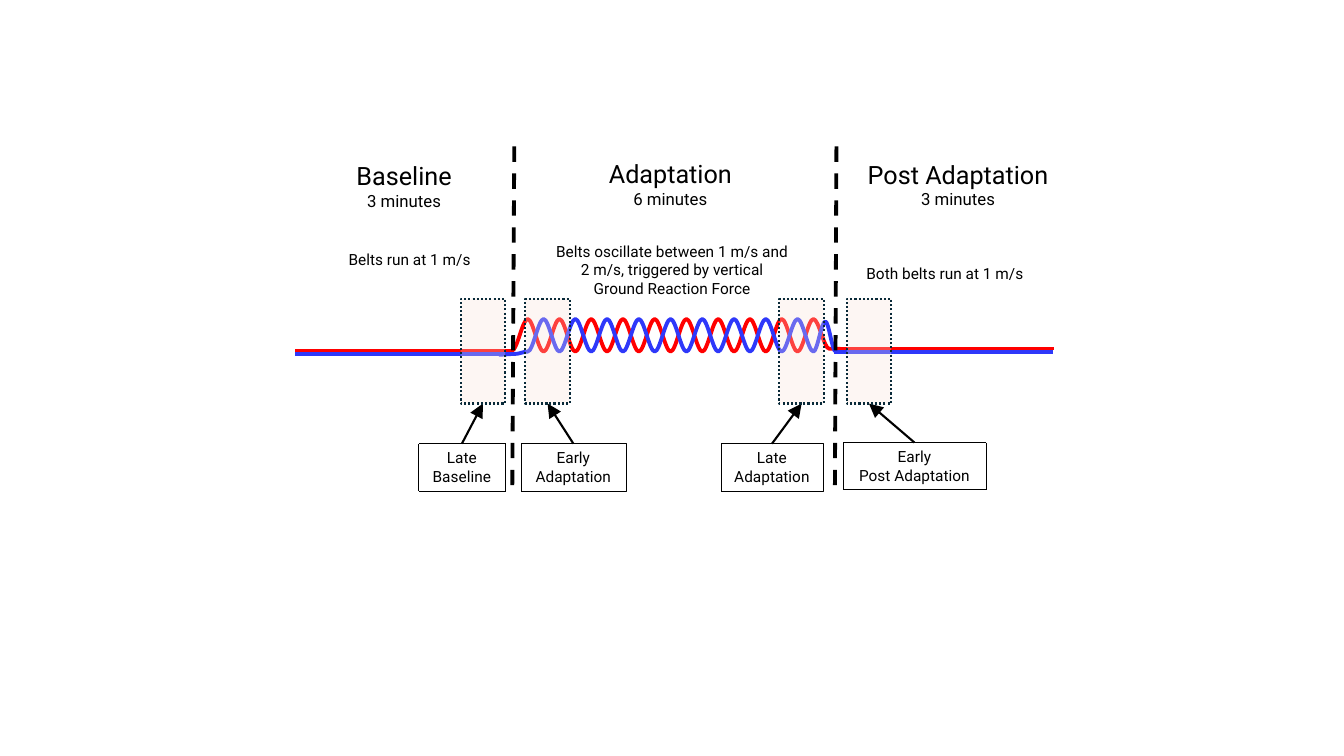
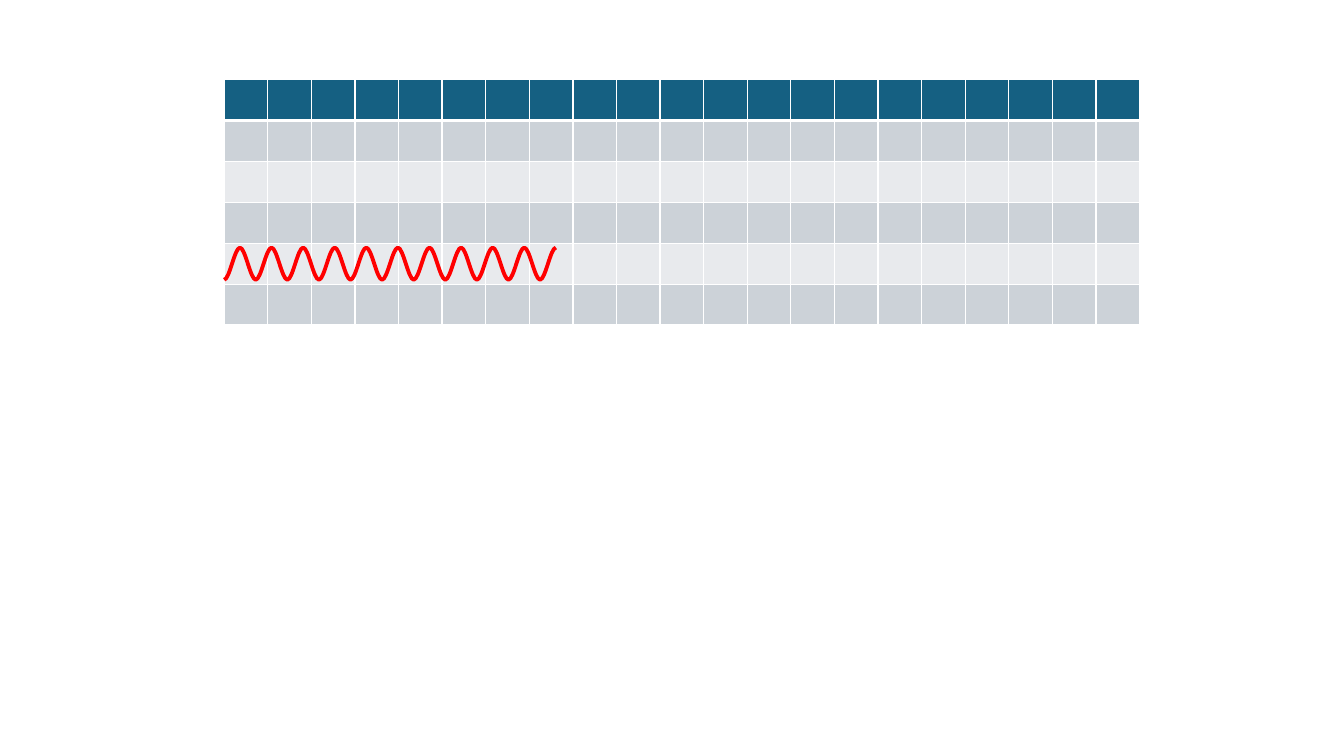
import lxml.etree
import pptx
import pptx.dml.color
import pptx.enum.dml
import pptx.enum.shapes
import pptx.enum.text
import pptx.oxml.ns
import pptx.util

Cm = pptx.util.Cm
Pt = pptx.util.Pt
qn = pptx.oxml.ns.qn
DASH = pptx.enum.dml.MSO_LINE.DASH
DOTS = pptx.enum.dml.MSO_LINE.ROUND_DOT
RECTANGLE = pptx.enum.shapes.MSO_SHAPE.RECTANGLE

FONT = "Roboto"
COLORS = {
    name: pptx.dml.color.RGBColor.from_string(value)
    for name, value in {
        "black": "000000",
        "red belt": "FF0000",
        "blue belt": "2E38FA",
        "window fill": "FBE3D6",
        "window line": "092A39",
        "header": "156082",
        "dark band": "CCD2D8",
        "light band": "E8EAED",
    }.items()
}
BELT_WIDTH = 2.75


def write_paragraphs(shape, paragraphs):
    """Fill a shape with centred paragraphs given as (text, size)."""
    frame = shape.text_frame
    frame.word_wrap = True
    frame.vertical_anchor = pptx.enum.text.MSO_ANCHOR.TOP
    for index, (text, size) in enumerate(paragraphs):
        paragraph = frame.add_paragraph() if index else frame.paragraphs[0]
        paragraph.alignment = pptx.enum.text.PP_ALIGN.CENTER
        run = paragraph.add_run()
        run.text = text
        run.font.name = FONT
        run.font.size = Pt(size)
        run.font.color.rgb = COLORS["black"]


def draw_wave(slide, turns, color):
    """Join the turning points with curves that are level at each turn."""
    points = [(Cm(x), Cm(y)) for x, y in turns]
    builder = slide.shapes.build_freeform(*points[0])
    builder.add_line_segments(points[1:], close=False)
    wave = builder.convert_to_shape()
    wave.shadow.inherit = False
    wave.fill.background()
    wave.line.color.rgb = COLORS[color]
    wave.line.width = Pt(BELT_WIDTH)

    # Turn each straight segment into a Bezier curve
    outline = wave._element.spPr.find(".//" + qn("a:path"))
    corners = [(int(p.get("x")), int(p.get("y"))) for p in outline.iter(qn("a:pt"))]
    segments = outline.findall(qn("a:lnTo"))
    for segment, (x1, y1), (x2, y2) in zip(segments, corners, corners[1:]):
        curve = lxml.etree.Element(qn("a:cubicBezTo"))
        third = (x2 - x1) // 3
        for x, y in ((x1 + third, y1), (x2 - third, y2), (x2, y2)):
            lxml.etree.SubElement(curve, qn("a:pt"), x=str(x), y=str(y))
        outline.replace(segment, curve)


presentation = pptx.Presentation()
presentation.slide_width = Cm(33.87)
presentation.slide_height = Cm(19.05)
blank_layout = presentation.slide_layouts[6]

# Slide 1: belt speeds in the three phases
slide = presentation.slides.add_slide(blank_layout)

# Oscillating belts
fast, slow = 8.04, 8.86
first_peak, half_period = 13.3, 0.4
red_turns = [(first_peak + half_period * k, slow if k % 2 else fast) for k in range(19)]
blue_turns = [(x, slow if y == fast else fast) for x, y in red_turns]
draw_wave(slide, [(12.9, 8.84)] + red_turns + [(20.9, 8.79), (21.18, 8.79)], "red belt")
draw_wave(slide, [(12.57, 8.94), (12.98, 8.92)] + blue_turns + [(20.8, 8.1), (21.06, 8.86)],
          "blue belt")

# Lines: x1, y1, x2, y2, color, width, dashed, arrow
lines = [
    (7.44, 8.84, 12.93, 8.84, "red belt", BELT_WIDTH, False, False),
    (7.44, 8.92, 12.93, 8.92, "blue belt", BELT_WIDTH, False, False),
    (21.06, 8.78, 26.57, 8.78, "red belt", BELT_WIDTH, False, False),
    (21.03, 8.86, 26.54, 8.86, "blue belt", BELT_WIDTH, False, False),
    (12.96, 3.69, 12.91, 12.37, "black", BELT_WIDTH, True, False),
    (21.08, 3.69, 21.04, 12.37, "black", BELT_WIDTH, True, False),
]

# Analysis windows: window left, callout left, callout top, callout width, text
window_top, window_width, window_height = 7.53, 1.12, 2.64
callout_height = 1.19
windows = [
    (11.61, 10.55, 11.18, 2.18, ["Late Baseline"]),
    (13.24, 13.13, 11.18, 2.64, ["Early", "Adaptation"]),
    (19.64, 18.17, 11.18, 2.57, ["Late", "Adaptation"]),
    (21.34, 21.24, 11.15, 3.61, ["Early", "Post Adaptation"]),
]
for window_left, callout_left, callout_top, callout_width, text in windows:
    lines.append((callout_left + callout_width / 2, callout_top,
                  window_left + window_width / 2, window_top + window_height,
                  "black", 1.5, False, True))

for x1, y1, x2, y2, color, width, dashed, arrow in lines:
    connector = slide.shapes.add_connector(
        pptx.enum.shapes.MSO_CONNECTOR.STRAIGHT, Cm(x1), Cm(y1), Cm(x2), Cm(y2))
    connector.line.color.rgb = COLORS[color]
    connector.line.width = Pt(width)
    if dashed:
        connector.line.dash_style = DASH
    if arrow:
        lxml.etree.SubElement(connector.line._get_or_add_ln(), qn("a:tailEnd"),
                              type="triangle", w="lg", len="lg")
    lxml.etree.SubElement(connector._element.spPr, qn("a:effectLst"))

for window_left, callout_left, callout_top, callout_width, text in windows:
    window = slide.shapes.add_shape(RECTANGLE, Cm(window_left), Cm(window_top),
                                    Cm(window_width), Cm(window_height))
    window.fill.solid()
    window.fill.fore_color.rgb = COLORS["window fill"]
    fill_color = window._element.spPr.find(qn("a:solidFill"))[0]
    lxml.etree.SubElement(fill_color, qn("a:alpha"), val="29000")
    window.line.color.rgb = COLORS["window line"]
    window.line.width = Pt(1.5)

    callout = slide.shapes.add_shape(RECTANGLE, Cm(callout_left), Cm(callout_top),
                                     Cm(callout_width), Cm(callout_height))
    callout.fill.background()
    callout.line.color.rgb = COLORS["black"]
    callout.line.width = Pt(0.25)
    write_paragraphs(callout, [(line, 11) for line in text])
    for shape in (window, callout):
        shape.shadow.inherit = False
        shape.line.dash_style = DOTS

# Phase titles and descriptions: left, top, width, height, paragraphs
texts = [
    (8.14, 3.91, 4.09, 1.55, [("Baseline", 18), ("3 minutes", 12)]),
    (14.85, 3.86, 4.09, 1.55, [("Adaptation", 18), ("6 minutes", 12)]),
    (21.39, 3.88, 5.51, 1.55, [("Post Adaptation", 18), ("3 minutes", 12)]),
    (7.43, 6.17, 5.79, 0.74, [("Belts run at 1 m/s", 11)]),
    (13.74, 5.97, 6.4, 1.68, [("Belts oscillate between 1 m/s and 2 m/s, "
                               "triggered by vertical Ground Reaction Force", 11)]),
    (20.92, 6.53, 5.79, 0.74, [("Both belts run at 1 m/s", 11)]),
]
for left, top, width, height, paragraphs in texts:
    box = slide.shapes.add_textbox(Cm(left), Cm(top), Cm(width), Cm(height))
    write_paragraphs(box, paragraphs)

# Slide 2: three grids side by side with one wave
slide = presentation.slides.add_slide(blank_layout)
rows, columns = 6, 7
grid_left, grid_top, grid_width, grid_height = 5.65, 2.01, 7.69, 6.17
for grid in range(3):
    table = slide.shapes.add_table(
        rows, columns, Cm(grid_left + grid * grid_width), Cm(grid_top),
        Cm(grid_width), Cm(grid_height)).table
    for row_index, row in enumerate(table.rows):
        band = "header" if row_index == 0 else "dark band" if row_index % 2 else "light band"
        for cell in row.cells:
            properties = cell._tc.get_or_add_tcPr()
            for side in ("lnL", "lnR", "lnT", "lnB"):
                below_header = (row_index, side) in ((0, "lnB"), (1, "lnT"))
                border = lxml.etree.SubElement(properties, qn("a:" + side),
                                               w=str(Pt(3 if below_header else 1)))
                border_fill = lxml.etree.SubElement(border, qn("a:solidFill"))
                lxml.etree.SubElement(border_fill, qn("a:srgbClr"), val="FFFFFF")
            cell.fill.solid()
            cell.fill.fore_color.rgb = COLORS[band]

crest, trough, wave_width, half_waves = 6.24, 7.05, 8.36, 21
draw_wave(slide, [(grid_left + wave_width * k / half_waves, crest if k % 2 else trough)
                  for k in range(half_waves + 1)], "red belt")

presentation.save("out.pptx")
